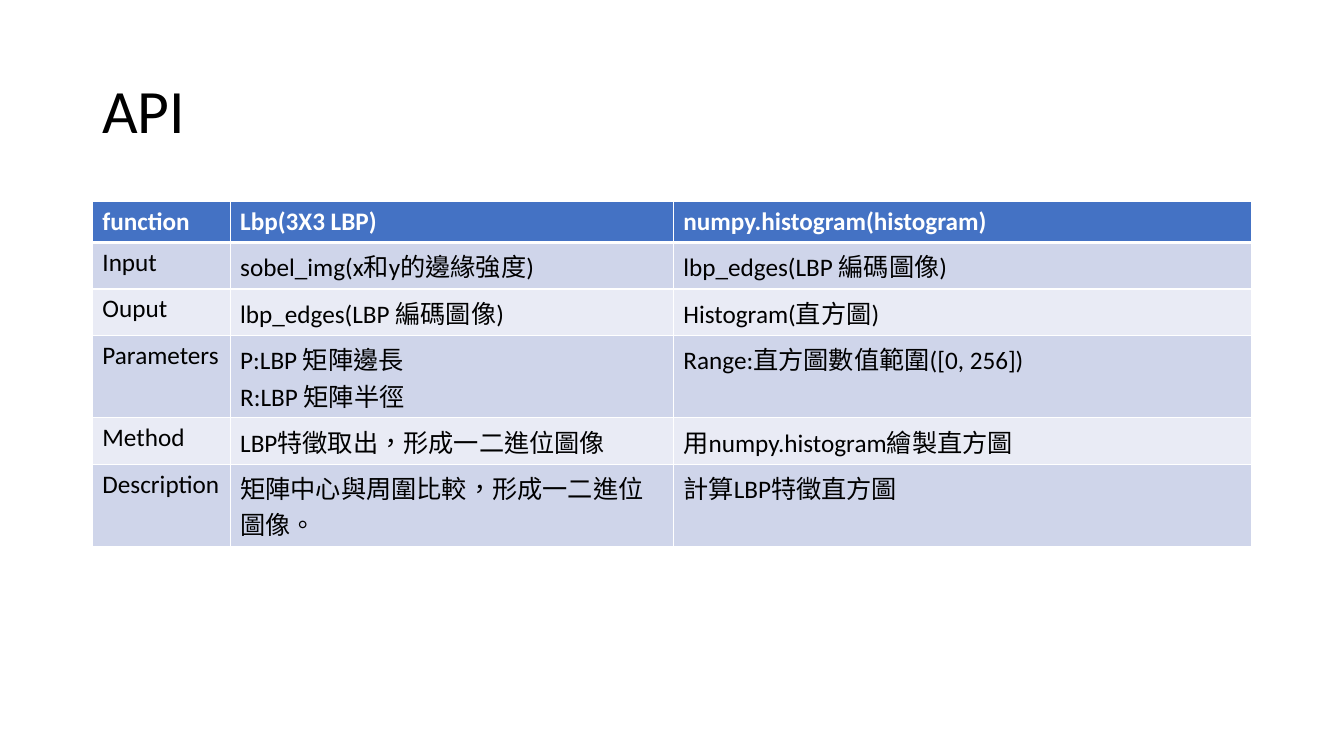
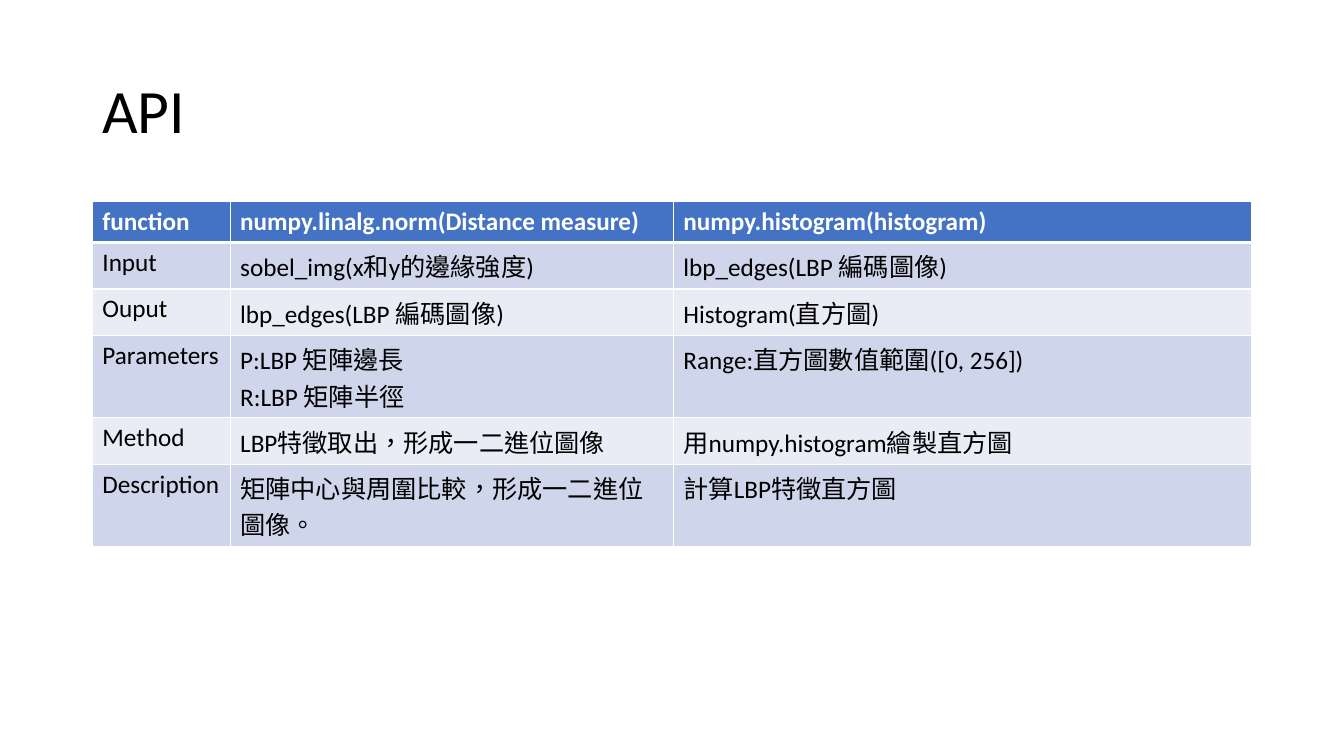
from lxml.etree import SubElement
from pptx import Presentation
from pptx.dml.color import RGBColor
from pptx.enum.lang import MSO_LANGUAGE_ID
from pptx.enum.text import MSO_ANCHOR
from pptx.oxml.ns import qn
from pptx.util import Pt

FONT = "Calibri"
BLACK = "000000"
WHITE = "FFFFFF"
HEADER_FILL = "4472C4"
BAND_FILLS = ("CFD5EA", "E9EBF5")
LEFT = 66
CONTENT_WIDTH = 828
COLUMN_WIDTHS = (98.4, 316.6, 413)
HEADER_HEIGHT = 29.2
ONE_LINE_HEIGHT = 33.2
TWO_LINE_HEIGHT = 58.8
ROW_HEIGHTS = (
    HEADER_HEIGHT, ONE_LINE_HEIGHT, ONE_LINE_HEIGHT,
    TWO_LINE_HEIGHT, ONE_LINE_HEIGHT, TWO_LINE_HEIGHT,
)

FIRST_FUNCTIONS = ("Lbp(3X3 LBP)", "numpy.linalg.norm(Distance measure)")
BODY_ROWS = (
    ("Input", "sobel_img(x和y的邊緣強度)", "lbp_edges(LBP 編碼圖像)"),
    ("Ouput", "lbp_edges(LBP 編碼圖像)", "Histogram(直方圖)"),
    ("Parameters", "P:LBP 矩陣邊長\nR:LBP 矩陣半徑", "Range:直方圖數值範圍([0, 256])"),
    ("Method", "LBP特徵取出，形成一二進位圖像", "用numpy.histogram繪製直方圖"),
    ("Description", "矩陣中心與周圍比較，形成一二進位圖像。", "計算LBP特徵直方圖"),
)


def rgb(value):
    return RGBColor.from_string(value)


def format_text(text_frame, size, color, bold=False):
    for paragraph in text_frame.paragraphs:
        for run in paragraph.runs:
            run.font.name = FONT
            run.font.size = Pt(size)
            run.font.bold = bold
            run.font.color.rgb = rgb(color)
            run.font.language_id = MSO_LANGUAGE_ID.TRADITIONAL_CHINESE


def add_title(slide, text):
    box = slide.shapes.add_textbox(Pt(LEFT), Pt(28.75), Pt(CONTENT_WIDTH), Pt(104.4))
    text_frame = box.text_frame
    text_frame.word_wrap = True
    text_frame.vertical_anchor = MSO_ANCHOR.MIDDLE
    text_frame.text = text
    text_frame.paragraphs[0].line_spacing = 0.9
    format_text(text_frame, 44, BLACK)


def set_borders(cell, top, bottom):
    properties = cell._tc.get_or_add_tcPr()
    for side, width in (("L", 1), ("R", 1), ("T", top), ("B", bottom)):
        line = SubElement(properties, qn(f"a:ln{side}"), w=str(Pt(width)))
        fill = SubElement(line, qn("a:solidFill"))
        SubElement(fill, qn("a:srgbClr"), val=WHITE)


def fill_cell(cell, text, row_index):
    is_header = row_index == 0
    set_borders(cell, 3 if row_index == 1 else 1, 3 if is_header else 1)
    cell.fill.solid()
    cell.fill.fore_color.rgb = rgb(HEADER_FILL if is_header else BAND_FILLS[(row_index - 1) % 2])
    cell.text_frame.text = text
    format_text(cell.text_frame, 18, WHITE if is_header else BLACK, is_header)


def add_function_table(slide, rows):
    frame = slide.shapes.add_table(
        len(rows), len(COLUMN_WIDTHS), Pt(LEFT), Pt(144),
        Pt(CONTENT_WIDTH), Pt(sum(ROW_HEIGHTS)),
    )
    table = frame.table
    for column, width in zip(table.columns, COLUMN_WIDTHS):
        column.width = Pt(width)
    for row_index, (texts, height) in enumerate(zip(rows, ROW_HEIGHTS)):
        table.rows[row_index].height = Pt(height)
        for column_index, text in enumerate(texts):
            fill_cell(table.cell(row_index, column_index), text, row_index)


def main():
    presentation = Presentation()
    presentation.slide_width = Pt(960)
    presentation.slide_height = Pt(540)
    for function_name in FIRST_FUNCTIONS:
        slide = presentation.slides.add_slide(presentation.slide_layouts[6])
        add_title(slide, "API")
        header = ("function", function_name, "numpy.histogram(histogram)")
        add_function_table(slide, (header, *BODY_ROWS))
    presentation.save("out.pptx")


if __name__ == "__main__":
    main()
